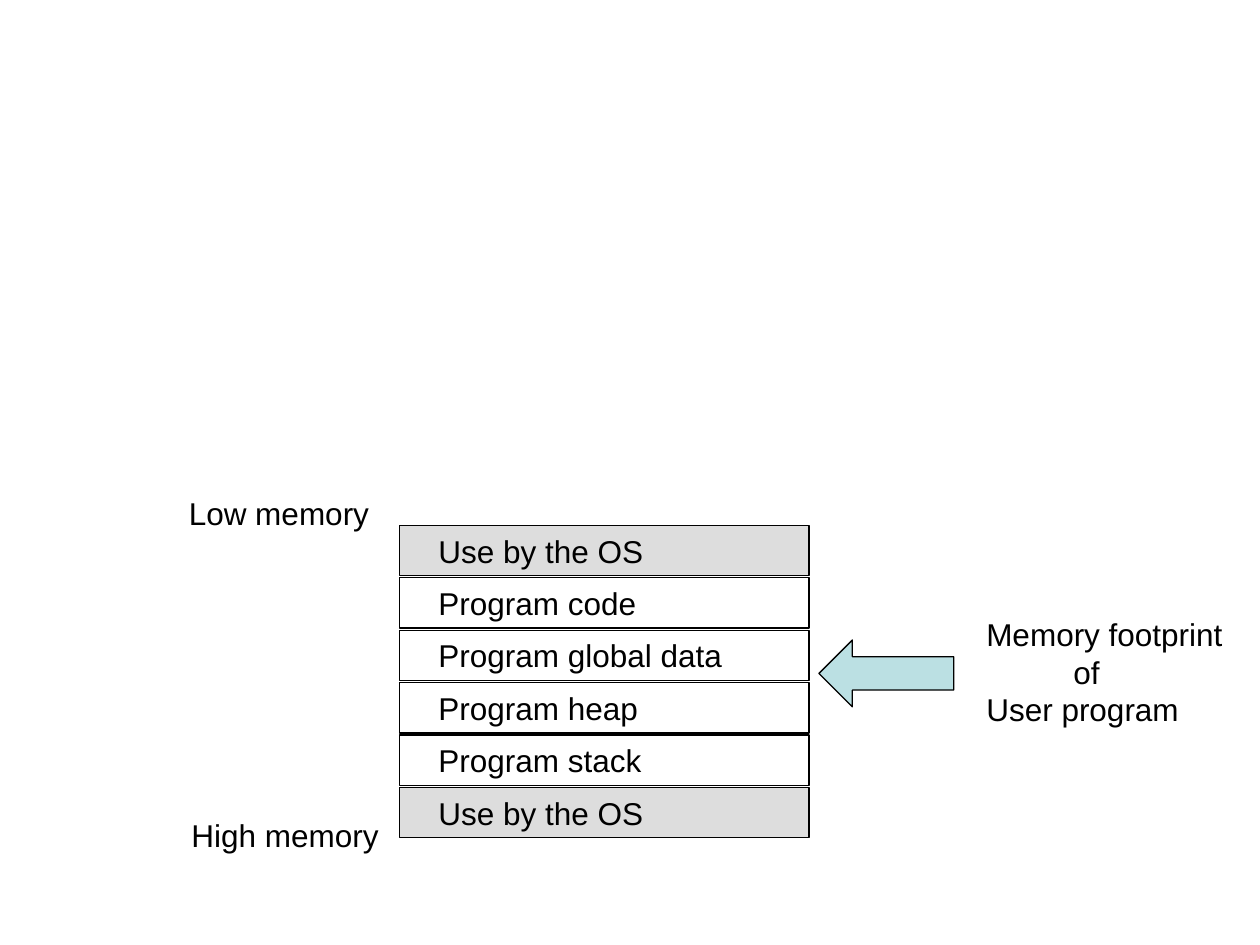
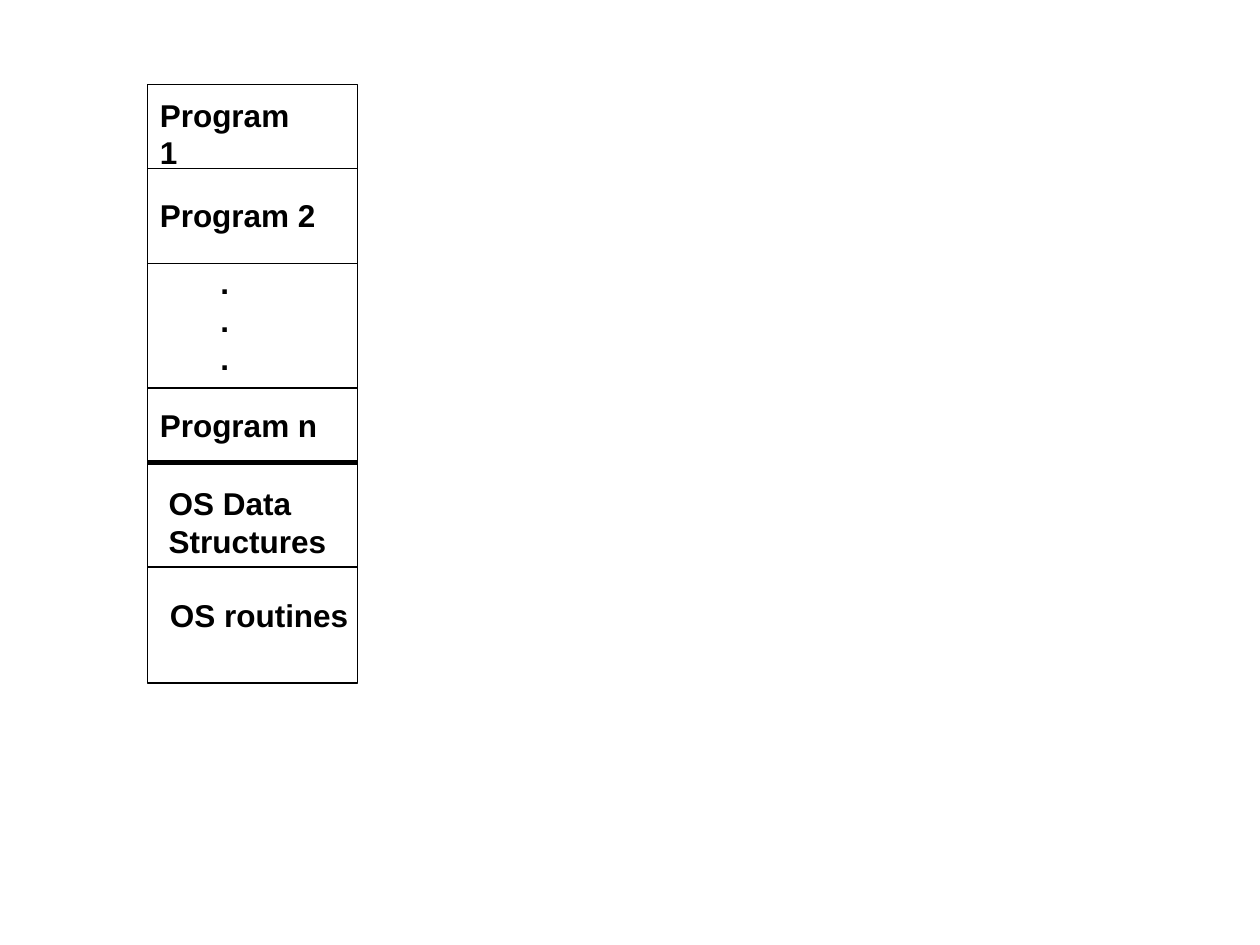
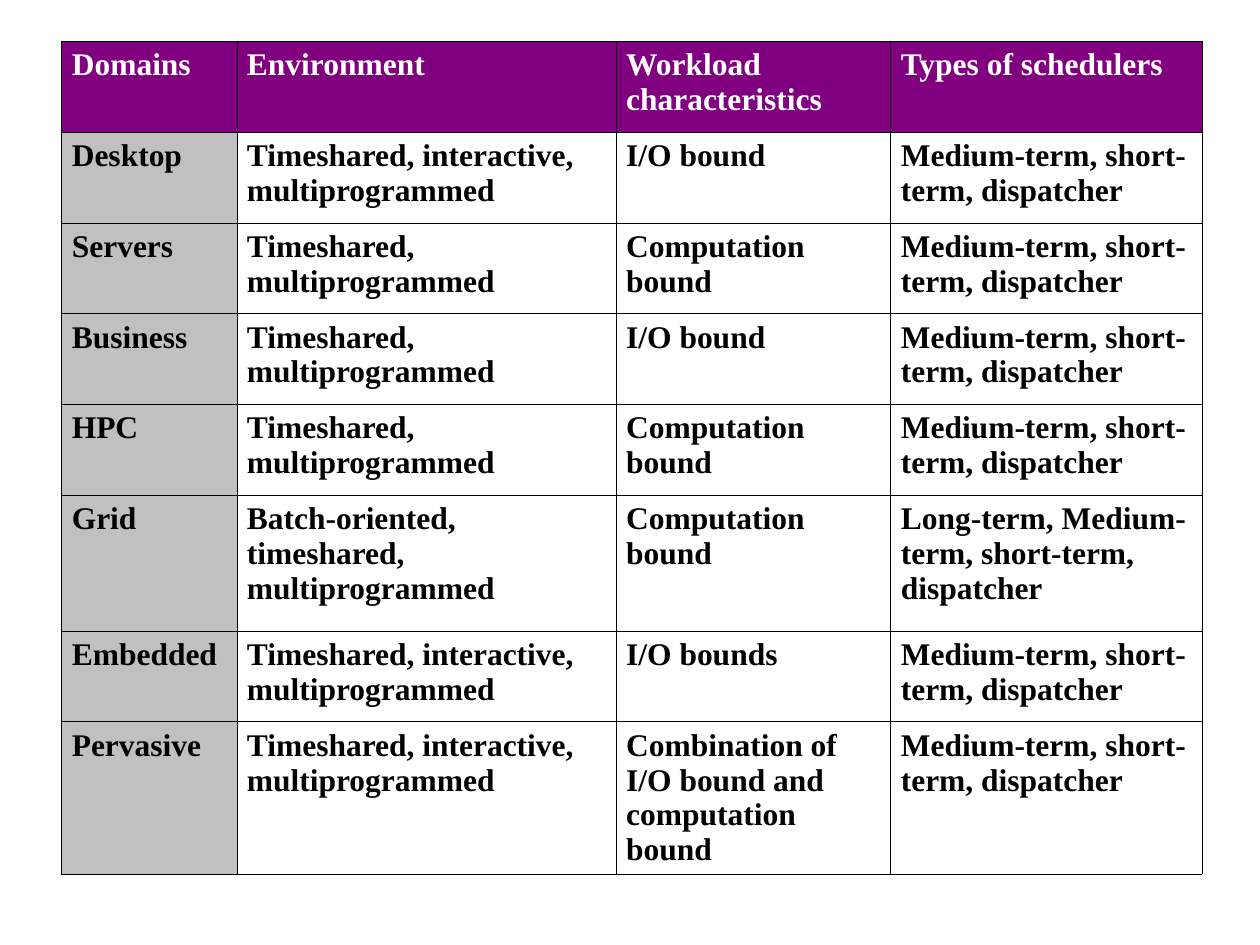
from lxml import etree
from pptx import Presentation
from pptx.dml.color import RGBColor
from pptx.enum.shapes import MSO_CONNECTOR, MSO_SHAPE
from pptx.enum.text import MSO_ANCHOR, PP_ALIGN
from pptx.oxml.ns import qn
from pptx.util import Inches, Pt

BLACK, WHITE = "000000", "FFFFFF"
OS_GREY, ARROW_TEAL = "DDDDDD", "BBE0E3"
HEADER_PURPLE, DOMAIN_GREY = "800080", "C0C0C0"
SANS, SERIF = "Arial", "Times New Roman"
TEXT_SIZE = 18
LINE_HEIGHT = 0.3
THIN, THICK = 0.75, 3

MEMORY_REGIONS = [
    ("Use by the OS", OS_GREY),
    ("Program code", None),
    ("Program global data", None),
    ("Program heap", None),
    ("Program stack", None),
    ("Use by the OS", OS_GREY),
]

# Top and left offset from the frame's corner, width, wrapping and lines
PROGRAM_LABELS = [
    (0.04, 0, 1.42, True, ["Program 1"]),
    (0.84, 0, 1.43, False, ["Program 2"]),
    (1.37, 0.48, 0.27, False, [".", ".", "."]),
    (2.5, 0, 1.45, False, ["Program n"]),
    (3.12, 0.07, 1.45, False, ["OS Data", "Structures"]),
    (4.01, 0.08, 1.61, False, ["OS routines"]),
]
PROGRAM_DIVIDERS = [(0.67, THIN), (1.42, THIN), (2.41, THIN), (3, THICK), (3.83, THIN)]

TIMESHARED = "Timeshared, multiprogrammed"
INTERACTIVE = "Timeshared, interactive, multiprogrammed"
SHORT_TERM = "Medium-term, short-term, dispatcher"
SCHEDULER_ROWS = [
    ("Domains", "Environment", "Workload characteristics", "Types of schedulers"),
    ("Desktop", INTERACTIVE, "I/O bound", SHORT_TERM),
    ("Servers", TIMESHARED, "Computation bound", SHORT_TERM),
    ("Business", TIMESHARED, "I/O bound", SHORT_TERM),
    ("HPC", TIMESHARED, "Computation bound", SHORT_TERM),
    ("Grid", "Batch-oriented, timeshared, multiprogrammed", "Computation bound",
     "Long-term, Medium-term, short-term, dispatcher"),
    ("Embedded", INTERACTIVE, "I/O bounds", SHORT_TERM),
    ("Pervasive", INTERACTIVE, "Combination of I/O bound and computation bound", SHORT_TERM),
]
COLUMN_WIDTHS = [1.39, 3.01, 2.18, 2.47]
ROW_HEIGHTS = [0.72] * 5 + [1.08, 0.72, 1.2]


# Shared helpers
def color(hex_string):
    return RGBColor.from_string(hex_string)


def set_fill(fill, hex_string):
    if hex_string:
        fill.solid()
        fill.fore_color.rgb = color(hex_string)
    else:
        fill.background()


def write_text(text_frame, lines, font=SANS, bold=False, text_color=BLACK):
    text_frame.text = "\n".join(lines)
    for paragraph in text_frame.paragraphs:
        paragraph.alignment = PP_ALIGN.LEFT
        for run in paragraph.runs:
            run.font.name = font
            run.font.size = Pt(TEXT_SIZE)
            run.font.bold = bold
            run.font.color.rgb = color(text_color)


def add_label(slide, left, top, width, lines, bold=False, wrap=False):
    height = 0.1 + LINE_HEIGHT * len(lines)
    label = slide.shapes.add_textbox(Inches(left), Inches(top), Inches(width), Inches(height))
    text_frame = label.text_frame
    text_frame.word_wrap = wrap
    if not wrap:
        text_frame.margin_right = 0  # leaves each line room to stay whole
    write_text(text_frame, lines, bold=bold)
    return label


def add_outlined(slide, kind, left, top, width, height, fill=None):
    shape = slide.shapes.add_shape(kind, Inches(left), Inches(top), Inches(width), Inches(height))
    shape.shadow.inherit = False
    set_fill(shape.fill, fill)
    shape.line.color.rgb = color(BLACK)
    shape.line.width = Pt(THIN)
    return shape


def add_rule(slide, left, right, y, weight):
    rule = slide.shapes.add_connector(
        MSO_CONNECTOR.STRAIGHT, Inches(left), Inches(y), Inches(right), Inches(y))
    rule.line.color.rgb = color(BLACK)
    rule.line.width = Pt(weight)
    etree.SubElement(rule._element.spPr, qn("a:effectLst"))


def set_borders(cell, weight):
    properties = cell._tc.get_or_add_tcPr()
    for position, side in enumerate(("a:lnL", "a:lnR", "a:lnT", "a:lnB")):
        border = etree.Element(qn(side), w=str(Pt(weight)))
        solid = etree.SubElement(border, qn("a:solidFill"))
        etree.SubElement(solid, qn("a:srgbClr"), val=BLACK)
        properties.insert(position, border)


# Slide 1: memory regions from low to high addresses
def add_memory_stack(slide, left, top, width, height):
    region_height = 0.4
    pitch = (height - region_height) / (len(MEMORY_REGIONS) - 1)
    for index, (name, fill) in enumerate(MEMORY_REGIONS):
        region = add_outlined(slide, MSO_SHAPE.RECTANGLE, left, top + index * pitch,
                              width, region_height, fill)
        text_frame = region.text_frame
        text_frame.margin_left = Inches(0.31)
        text_frame.vertical_anchor = MSO_ANCHOR.MIDDLE
        write_text(text_frame, [name])
    add_label(slide, left - 1.77, top - 0.3, 1.63, ["Low memory"])
    add_label(slide, left - 1.75, top + height - 0.22, 1.68, ["High memory"])


def add_footprint_note(slide, left, top):
    arrow = add_outlined(slide, MSO_SHAPE.LEFT_ARROW, left, top + 0.25, 1.07, 0.53, ARROW_TEAL)
    arrow.adjustments[1] = 0.5
    note = add_label(slide, left + 1.23, top, 2.07, ["Memory footprint", "of", "User program"])
    middle_line = note.text_frame.paragraphs[1]
    middle_line._p.get_or_add_pPr().set("marL", str(Inches(0.69)))


# Slide 2: several programs sharing memory with the operating system
def add_program_column(slide, left, top, width, height):
    add_outlined(slide, MSO_SHAPE.RECTANGLE, left, top, width, height)
    for offset, weight in PROGRAM_DIVIDERS:
        add_rule(slide, left, left + width, top + offset, weight)
    for offset, indent, label_width, wrap, lines in PROGRAM_LABELS:
        add_label(slide, left + indent, top + offset, label_width, lines, bold=True, wrap=wrap)


# Slide 3: schedulers by domain
def add_scheduler_table(slide, left, top):
    frame = slide.shapes.add_table(
        len(SCHEDULER_ROWS), len(COLUMN_WIDTHS), Inches(left), Inches(top),
        Inches(sum(COLUMN_WIDTHS)), Inches(sum(ROW_HEIGHTS)))
    table = frame.table
    table.first_row = table.horz_banding = False
    for column, width in zip(table.columns, COLUMN_WIDTHS):
        column.width = Inches(width)
    for row, height in zip(table.rows, ROW_HEIGHTS):
        row.height = Inches(height)
    for row_index, values in enumerate(SCHEDULER_ROWS):
        for column_index, value in enumerate(values):
            cell = table.cell(row_index, column_index)
            is_header = row_index == 0
            side_fill = DOMAIN_GREY if column_index == 0 else None
            set_fill(cell.fill, HEADER_PURPLE if is_header else side_fill)
            cell.margin_left = cell.margin_right = Inches(0.08)
            cell.margin_top = cell.margin_bottom = Inches(0.05)
            write_text(cell.text_frame, [value], SERIF, True, WHITE if is_header else BLACK)
            set_borders(cell, 0.45)


def main():
    presentation = Presentation()
    presentation.slide_width = Inches(10)
    presentation.slide_height = Inches(7.5)
    blank_layout = presentation.slide_layouts[6]
    memory_slide, programs_slide, schedulers_slide = [
        presentation.slides.add_slide(blank_layout) for _ in range(3)]

    add_memory_stack(memory_slide, 3.17, 4.17, 3.25, 2.48)
    add_footprint_note(memory_slide, 6.5, 4.83)
    add_program_column(programs_slide, 1.17, 0.67, 1.67, 4.75)
    add_scheduler_table(schedulers_slide, 0.49, 0.33)
    presentation.save("out.pptx")


if __name__ == "__main__":
    main()
